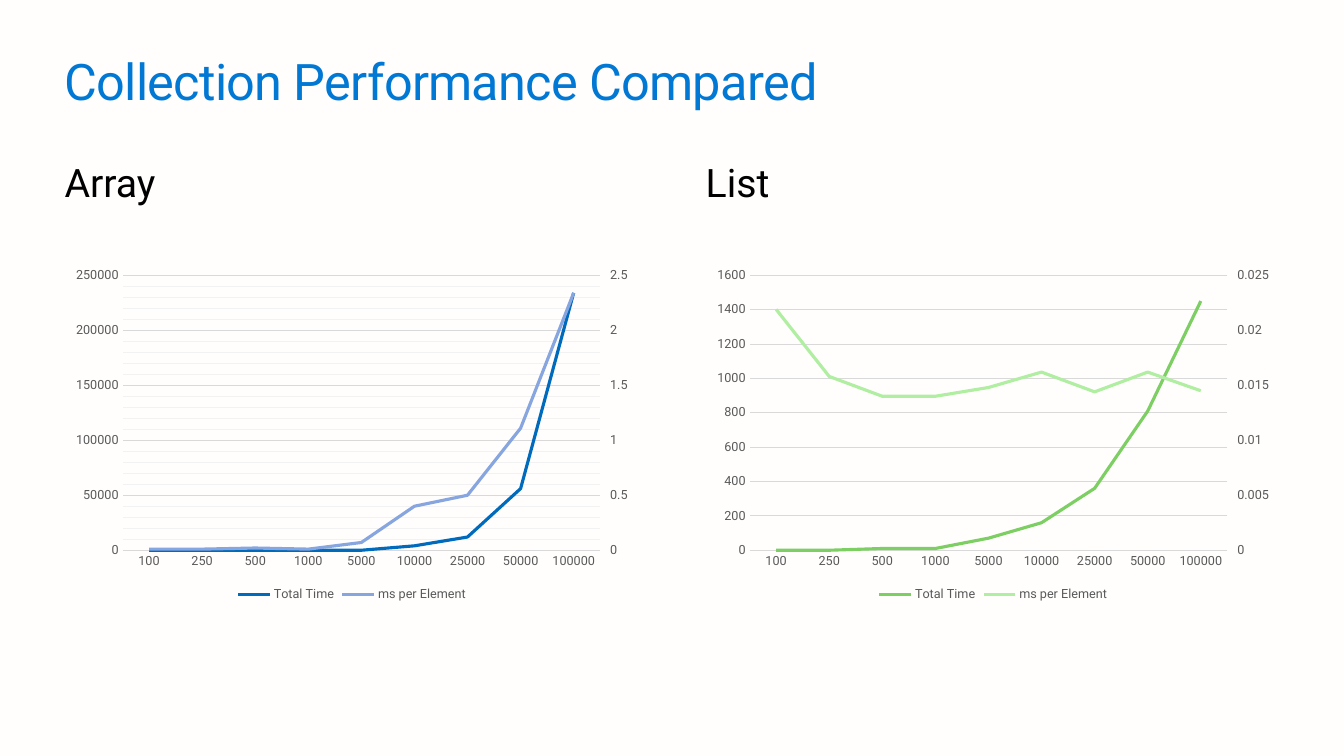
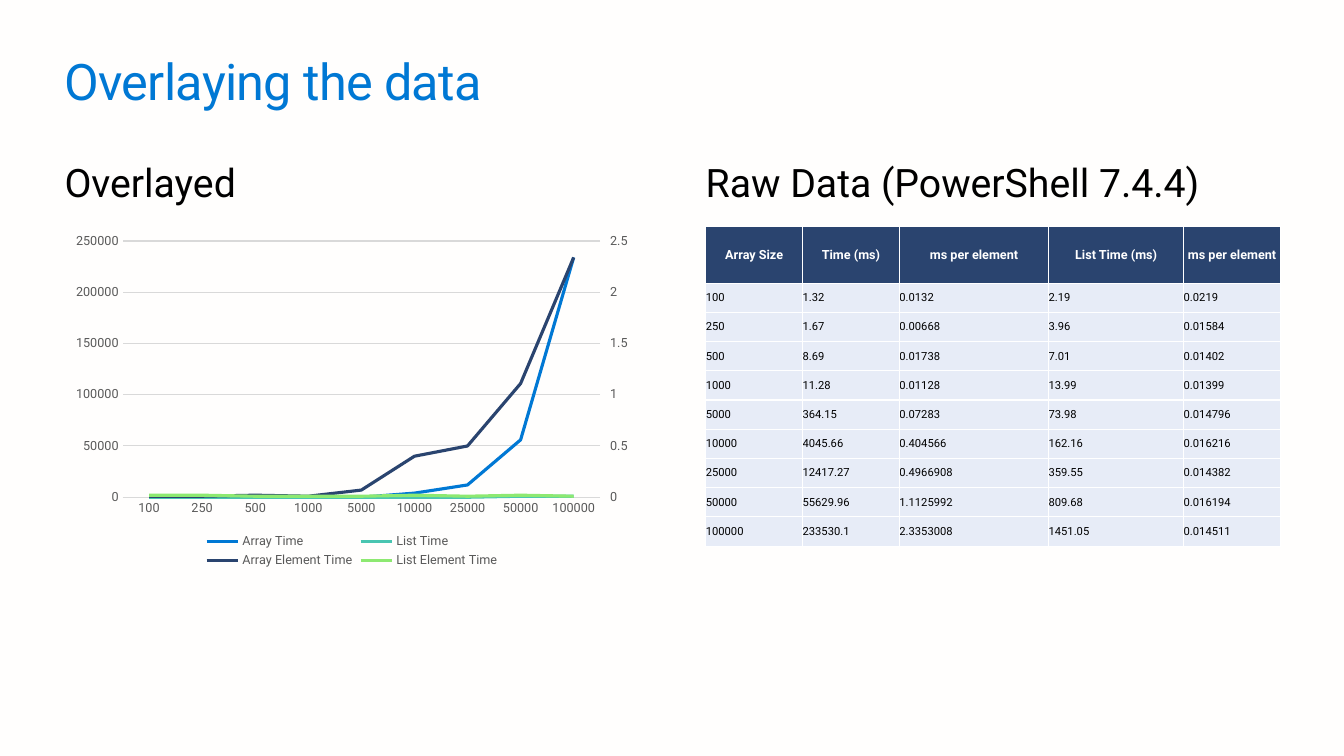
from copy import deepcopy
from dataclasses import dataclass

from pptx import Presentation
from pptx import util as u
from pptx.chart.data import CategoryChartData
from pptx.dml.color import RGBColor
from pptx.enum import chart as ch
from pptx.enum import text as tx
from pptx.oxml import parse_xml
from pptx.oxml.ns import nsdecls, qn

# Shared style
FONT = "Roboto"
BACKGROUND, TITLE_BLUE, BLACK, WHITE = "FFFEFD", "0078D4", "000000", "FFFFFF"
NAVY, PALE_BLUE = "2A446F", "E7ECF7"
AXIS_TEXT, GRID, MINOR_GRID = "595959", "D9D9D9", "F2F2F2"
LEFT, RIGHT, COLUMN_WIDTH = 0.64, 7.0, 5.7

# Measurements: size, array time, per element, list time, per element
HEADINGS = ("Array Size", "Time (ms)", "ms per element", "List Time (ms)", "ms per element")
MEASUREMENTS = (
    (100, 1.32, 0.0132, 2.19, 0.0219),
    (250, 1.67, 0.00668, 3.96, 0.01584),
    (500, 8.69, 0.01738, 7.01, 0.01402),
    (1000, 11.28, 0.01128, 13.99, 0.01399),
    (5000, 364.15, 0.07283, 73.98, 0.014796),
    (10000, 4045.66, 0.404566, 162.16, 0.016216),
    (25000, 12417.27, 0.4966908, 359.55, 0.014382),
    (50000, 55629.96, 1.1125992, 809.68, 0.016194),
    (100000, 233530.1, 2.3353008, 1451.05, 0.014511),
)
SIZES, ARRAY_TIME, ARRAY_EACH, LIST_TIME, LIST_EACH = zip(*MEASUREMENTS)


@dataclass(frozen=True)
class Series:
    name: str
    values: tuple
    digits: int
    color: str
    on_right: bool = False


@dataclass(frozen=True)
class Scale:
    maximum: float
    step: float


@dataclass(frozen=True)
class Graph:
    left: float
    top: float
    series: tuple
    left_scale: Scale
    right_scale: Scale
    minor_step: float = 0


ARRAY_SCALES = Scale(250000, 50000), Scale(2.5, 0.5)


def rgb(color: str) -> RGBColor:
    return RGBColor.from_string(color)


def style_font(font, size: float, color: str, bold: bool = False) -> None:
    font.name, font.size, font.bold = FONT, u.Pt(size), bold
    font.color.rgb = rgb(color)


def style_line(line, color: str, width: float = 0.75) -> None:
    line.color.rgb = rgb(color)
    line.width = u.Pt(width)


# Headings
def add_text(slide, left: float, top: float, width: float, height: float,
             words: str, size: float, color: str, spacing: int = 0) -> None:
    frame = slide.shapes.add_textbox(
        u.Inches(left), u.Inches(top), u.Inches(width), u.Inches(height)).text_frame
    frame.word_wrap = True
    frame.margin_left = frame.margin_top = frame.margin_right = frame.margin_bottom = 0
    paragraph = frame.paragraphs[0]
    paragraph.text = words
    style_font(paragraph.font, size, color)
    if spacing:
        paragraph.runs[0]._r.get_or_add_rPr().set("spc", str(spacing))


def add_page(prs, title: str, left_heading: str, right_heading: str):
    slide = prs.slides.add_slide(prs.slide_layouts[6])
    add_text(slide, LEFT, 0.5, 12.05, 0.61, title, 36, TITLE_BLUE, spacing=-50)
    for left, heading in ((LEFT, left_heading), (RIGHT, right_heading)):
        add_text(slide, left, 1.57, COLUMN_WIDTH, 0.47, heading, 28, BLACK)
    return slide


# Charts
def add_right_axis(chart, graph: Graph) -> None:
    """Move the right-hand series to a second line plot with its own axes."""
    plot_area = chart.element.find(".//" + qn("c:plotArea"))
    main = plot_area.find(qn("c:lineChart"))
    second = deepcopy(main)
    main.addnext(second)
    for plot, on_right in ((main, False), (second, True)):
        for node, series in zip(plot.findall(qn("c:ser")), graph.series):
            if series.on_right != on_right:
                plot.remove(node)
    category_id, value_id = "50010", "50020"
    for node, axis_id in zip(second.findall(qn("c:axId")), (category_id, value_id)):
        node.set("val", axis_id)

    category = deepcopy(plot_area.find(qn("c:catAx")))
    value = deepcopy(plot_area.find(qn("c:valAx")))
    for tag in ("c:majorGridlines", "c:minorGridlines", "c:minorUnit"):
        node = value.find(qn(tag))
        if node is not None:
            value.remove(node)
    settings = (
        (category, {"c:axId": category_id, "c:crossAx": value_id, "c:delete": "1"}),
        (value, {"c:axId": value_id, "c:crossAx": category_id, "c:axPos": "r",
                 "c:majorTickMark": "out", "c:crosses": "max",
                 "c:max": str(graph.right_scale.maximum),
                 "c:majorUnit": str(graph.right_scale.step)}),
    )
    last = plot_area.find(qn("c:valAx"))
    for axis, changes in settings:
        for tag, setting in changes.items():
            for node in axis.iter(qn(tag)):
                node.set("val", setting)
        last.addnext(axis)
        last = axis
    # The default tick mark is left out of the file, so state it here
    if value.find(qn("c:majorTickMark")) is None:
        value.find(qn("c:numFmt")).addnext(
            parse_xml(f'<c:majorTickMark {nsdecls("c")} val="out"/>'))


def style_axes(chart, graph: Graph) -> None:
    for axis in (chart.category_axis, chart.value_axis):
        axis.major_tick_mark = axis.minor_tick_mark = ch.XL_TICK_MARK.NONE
        style_font(axis.tick_labels.font, 9, AXIS_TEXT)
        axis.tick_labels.number_format = "General"
        axis.tick_labels.number_format_is_linked = False
    style_line(chart.category_axis.format.line, GRID)

    value = chart.value_axis
    value.format.line.fill.background()
    axis_node = chart.element.find(".//" + qn("c:valAx"))
    if axis_node.find(qn("c:crossBetween")) is None:
        axis_node.find(qn("c:crosses")).addnext(
            parse_xml(f'<c:crossBetween {nsdecls("c")} val="between"/>'))
    value.minimum_scale, value.maximum_scale = 0, graph.left_scale.maximum
    value.major_unit = graph.left_scale.step
    value.has_major_gridlines = True
    style_line(value.major_gridlines.format.line, GRID)
    if graph.minor_step:
        value.minor_unit = graph.minor_step
        value.has_minor_gridlines = True
        axis_node.find(qn("c:minorGridlines")).append(parse_xml(
            f'<c:spPr {nsdecls("c", "a")}><a:ln w="{u.Pt(0.75)}"><a:solidFill>'
            f'<a:srgbClr val="{MINOR_GRID}"/></a:solidFill></a:ln></c:spPr>'))


def add_graph(slide, graph: Graph) -> None:
    data = CategoryChartData()
    data.categories = [str(size) for size in SIZES]
    for series in graph.series:
        data.add_series(series.name, [round(v, series.digits) for v in series.values])
    chart = slide.shapes.add_chart(
        ch.XL_CHART_TYPE.LINE, u.Inches(graph.left), u.Inches(graph.top),
        u.Inches(COLUMN_WIDTH), u.Inches(3.42), data).chart
    chart.has_title = False
    style_font(chart.font, 10, BLACK)
    chart.has_legend = True
    chart.legend.position = ch.XL_LEGEND_POSITION.BOTTOM
    chart.legend.include_in_layout = False
    style_font(chart.legend.font, 9, AXIS_TEXT)
    chart.plots[0].vary_by_categories = False
    for curve, series in zip(chart.plots[0].series, graph.series):
        curve.smooth = False
        curve.marker.style = ch.XL_MARKER_STYLE.NONE
        style_line(curve.format.line, series.color, 2.25)
    style_axes(chart, graph)
    add_right_axis(chart, graph)


# Table
def add_measurements(slide, left: float, top: float) -> None:
    widths = (0.96, 0.96, 1.48, 1.34, 0.96)
    heights = (0.56,) + (0.29,) * len(MEASUREMENTS)
    table = slide.shapes.add_table(
        len(heights), len(widths), u.Inches(left), u.Inches(top),
        u.Inches(sum(widths)), u.Inches(sum(heights))).table
    table.horz_banding = False
    for column, width in zip(table.columns, widths):
        column.width = u.Inches(width)
    for row, height, entries in zip(table.rows, heights, (HEADINGS, *MEASUREMENTS)):
        row.height = u.Inches(height)
        is_header = entries is HEADINGS
        for cell, entry in zip(row.cells, entries):
            cell.margin_left = cell.margin_top = cell.margin_right = cell.margin_bottom = 0
            cell.vertical_anchor = tx.MSO_ANCHOR.MIDDLE
            cell.fill.solid()
            cell.fill.fore_color.rgb = rgb(NAVY if is_header else PALE_BLUE)
            paragraph = cell.text_frame.paragraphs[0]
            paragraph.text = str(entry)
            paragraph.alignment = tx.PP_ALIGN.CENTER if is_header else tx.PP_ALIGN.LEFT
            style_font(paragraph.font, 9 if is_header else 8,
                       WHITE if is_header else BLACK, is_header)


def main() -> None:
    prs = Presentation()
    prs.slide_width, prs.slide_height = u.Inches(13.33), u.Inches(7.5)
    backdrop = prs.slide_master.background.fill
    backdrop.solid()
    backdrop.fore_color.rgb = rgb(BACKGROUND)

    # Slide 1: array and list side by side
    compared = add_page(prs, "Collection Performance Compared", "Array", "List")
    add_graph(compared, Graph(LEFT, 2.59, (
        Series("Total Time", ARRAY_TIME, -3, "006BBC"),
        Series("ms per Element", ARRAY_EACH, 2, "87A5DF", on_right=True),
    ), *ARRAY_SCALES, minor_step=10000))
    add_graph(compared, Graph(RIGHT, 2.59, (
        Series("Total Time", LIST_TIME, -1, "7DCF64"),
        Series("ms per Element", LIST_EACH, 4, "B0EEA1", on_right=True),
    ), Scale(1600, 200), Scale(0.025, 0.005)))

    # Slide 2: all series together, with the raw data
    overlaid = add_page(prs, "Overlaying the data", "Overlayed", "Raw Data (PowerShell 7.4.4)")
    add_graph(overlaid, Graph(LEFT, 2.25, (
        Series("Array Time", ARRAY_TIME, -3, TITLE_BLUE),
        Series("List Time", LIST_TIME, -3, "49C5B1"),
        Series("Array Element Time", ARRAY_EACH, 2, NAVY, on_right=True),
        Series("List Element Time", LIST_EACH, 2, "8DE971", on_right=True),
    ), *ARRAY_SCALES))
    add_measurements(overlaid, RIGHT, 2.25)

    prs.save("out.pptx")


if __name__ == "__main__":
    main()
